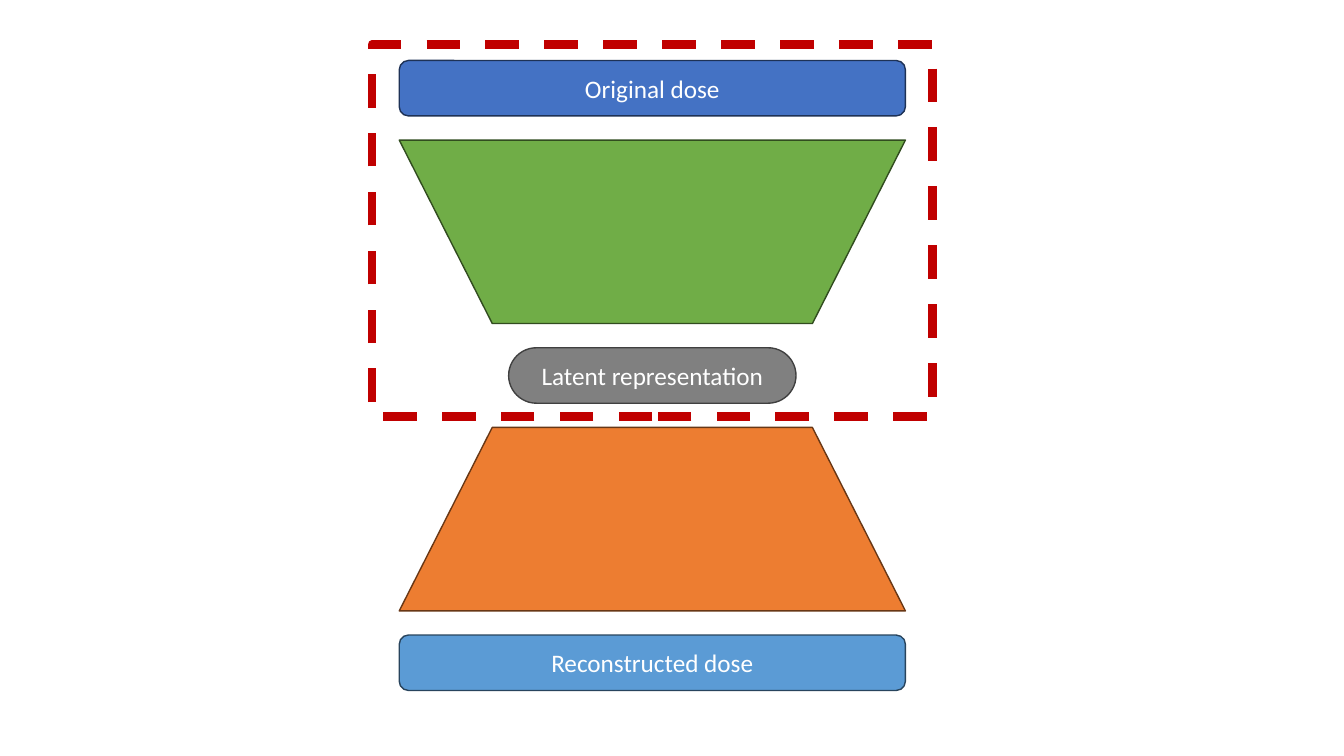
from pptx import Presentation
from pptx.dml.color import RGBColor
from pptx.enum.dml import MSO_LINE
from pptx.enum.shapes import MSO_SHAPE
from pptx.enum.text import MSO_ANCHOR, PP_ALIGN
from pptx.util import Inches, Pt

WHITE = RGBColor(0xFF, 0xFF, 0xFF)
BLUE, NAVY = RGBColor(0x44, 0x72, 0xC4), RGBColor(0x1E, 0x32, 0x56)
GREEN, DARK_GREEN = RGBColor(0x70, 0xAD, 0x47), RGBColor(0x31, 0x4C, 0x1F)
GRAY, DARK_GRAY = RGBColor(0x80, 0x80, 0x80), RGBColor(0x40, 0x40, 0x40)
ORANGE, BROWN = RGBColor(0xED, 0x7D, 0x31), RGBColor(0x68, 0x37, 0x15)
LIGHT_BLUE, STEEL = RGBColor(0x5B, 0x9B, 0xD5), RGBColor(0x28, 0x44, 0x5D)
RED = RGBColor(0xC0, 0x00, 0x00)

BAR, TRAPEZOID = MSO_SHAPE.ROUNDED_RECTANGLE, MSO_SHAPE.TRAPEZOID
CENTER_X, TOP, GAP = 6.47, 0.6, 0.24
WIDE, BAR_H, CODER_H, SLANT = 5.02, 0.55, 1.82, 0.507

# Layers from top to bottom: kind, text, width, height, format
LAYERS = [
    (BAR, "Original dose", WIDE, BAR_H, dict(fill=BLUE, line=NAVY)),
    (TRAPEZOID, "", WIDE, CODER_H,
     dict(fill=GREEN, line=DARK_GREEN, adj=SLANT, rotation=180)),
    (BAR, "Latent representation", 2.85, BAR_H,
     dict(fill=GRAY, line=DARK_GRAY, adj=0.5)),
    (TRAPEZOID, "", WIDE, CODER_H, dict(fill=ORANGE, line=BROWN, adj=SLANT)),
    (BAR, "Reconstructed dose", WIDE, BAR_H, dict(fill=LIGHT_BLUE, line=STEEL)),
]
FRAME_TOP, FRAME_W, FRAME_H = 0.44, 5.56, 3.69


def write_text(sp, text, size=18, font="Calibri", color=WHITE):
    """Write centred text in a shape."""
    tf = sp.text_frame
    tf.vertical_anchor = MSO_ANCHOR.MIDDLE
    p = tf.paragraphs[0]
    p.alignment = PP_ALIGN.CENTER
    r = p.add_run()
    r.text = text
    r.font.size = Pt(size)
    r.font.name = font
    r.font.color.rgb = color


def add_centred(s, kind, top, width, height, line, fill=None, weight=1,
                dash=None, adj=None, rotation=0):
    """Add a shape centred on the diagram's vertical axis."""
    sp = s.shapes.add_shape(kind, Inches(CENTER_X - width / 2), Inches(top),
                            Inches(width), Inches(height))
    sp.shadow.inherit = False
    sp.rotation = rotation
    if adj is not None:
        sp.adjustments[0] = adj
    if fill is None:
        sp.fill.background()
    else:
        sp.fill.solid()
        sp.fill.fore_color.rgb = fill
    sp.line.color.rgb = line
    sp.line.width = Pt(weight)
    if dash is not None:
        sp.line.dash_style = dash
    return sp


prs = Presentation()
prs.slide_width, prs.slide_height = Inches(13.33), Inches(7.5)
s = prs.slides.add_slide(prs.slide_layouts[6])

top = TOP
for kind, text, width, height, style in LAYERS:
    sp = add_centred(s, kind, top, width, height, **style)
    if text:
        write_text(sp, text)
    top += height + GAP

add_centred(s, MSO_SHAPE.RECTANGLE, FRAME_TOP, FRAME_W, FRAME_H,
            line=RED, weight=6, dash=MSO_LINE.DASH)

prs.save("out.pptx")
